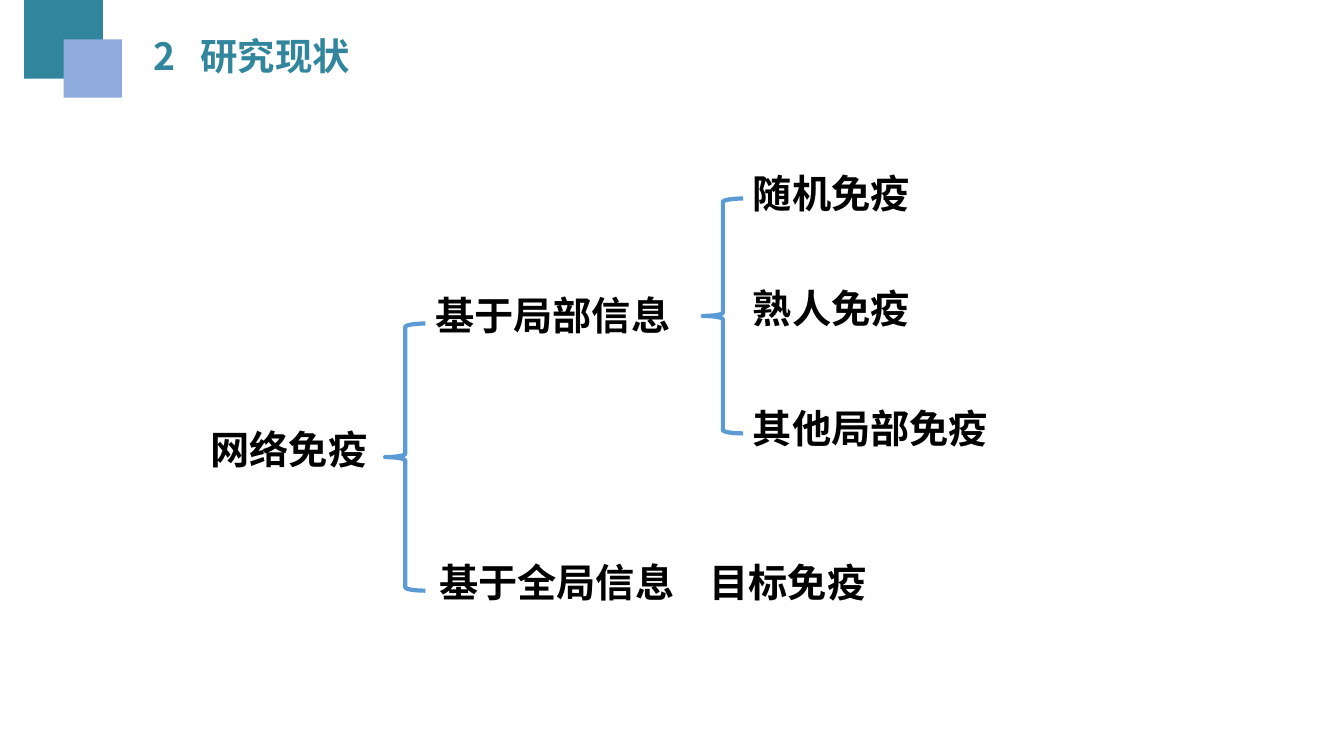
from dataclasses import dataclass

from lxml.etree import SubElement
from pptx import Presentation
from pptx.dml.color import RGBColor
from pptx.enum.shapes import MSO_SHAPE
from pptx.enum.text import MSO_ANCHOR
from pptx.oxml.ns import qn
from pptx.util import Inches, Pt


@dataclass(frozen=True)
class Theme:
    font: str = "Noto Sans CJK SC"
    teal: str = "31859C"
    lavender: str = "8FAADC"
    brace: str = "5B9BD5"
    ink: str = "000000"
    title_size: float = 26.7
    label_size: float = 28
    brace_width: float = 3


class SlideBuilder:
    def __init__(self, slide, theme):
        self.slide = slide
        self.theme = theme

    def text(self, left, top, width, height, words, size, color, tab=None):
        box = self.slide.shapes.add_textbox(
            Inches(left), Inches(top), Inches(width), Inches(height))
        frame = box.text_frame
        frame.word_wrap = True
        frame.vertical_anchor = MSO_ANCHOR.TOP
        para = frame.paragraphs[0]
        if tab:
            stops = SubElement(para._p.get_or_add_pPr(), qn("a:tabLst"))
            SubElement(stops, qn("a:tab"), pos=str(Inches(tab)), algn="l")
        span = para.add_run()
        span.text = words
        span.font.size = Pt(size)
        span.font.bold = True
        span.font.color.rgb = RGBColor.from_string(color)
        span.font.name = self.theme.font
        SubElement(span.font._element, qn("a:ea"), typeface=self.theme.font)
        return para

    def title(self, left, top, width, height, words, tab):
        self.text(left, top, width, height, words,
                  self.theme.title_size, self.theme.teal, tab)

    def label(self, left, top, width, words, tab=None):
        para = self.text(left, top, width, 0.63, words,
                         self.theme.label_size, self.theme.ink, tab)
        para.line_spacing = 0.9
        para.space_before = Pt(10)

    def square(self, left, top, side, color):
        shape = self.slide.shapes.add_shape(
            MSO_SHAPE.RECTANGLE, Inches(left), Inches(top), Inches(side), Inches(side))
        shape.shadow.inherit = False
        shape.fill.solid()
        shape.fill.fore_color.rgb = RGBColor.from_string(color)
        shape.line.fill.background()

    def brace(self, left, top, height):
        shape = self.slide.shapes.add_shape(
            MSO_SHAPE.LEFT_BRACE, Inches(left), Inches(top), Inches(0.4), Inches(height))
        shape.shadow.inherit = False
        shape.fill.background()
        shape.line.color.rgb = RGBColor.from_string(self.theme.brace)
        shape.line.width = Pt(self.theme.brace_width)


def main():
    deck = Presentation()
    deck.slide_width = Inches(13.33)
    deck.slide_height = Inches(7.5)
    theme = Theme()
    page = SlideBuilder(deck.slides.add_slide(deck.slide_layouts[6]), theme)

    page.title(1.42, 0.28, 3.15, 0.55, "2\t研究现状", tab=0.47)
    page.square(0.24, 0, 0.78, theme.teal)
    page.square(0.63, 0.39, 0.58, theme.lavender)

    page.label(1.99, 4.22, 2.06, "网络免疫")
    page.brace(3.82, 3.21, 2.65)
    page.label(4.22, 2.89, 2.76, "基于局部信息")
    page.brace(6.97, 1.97, 2.33)
    for top, method in ((1.68, "随机免疫"), (2.82, "熟人免疫"), (4.01, "其他局部免疫")):
        page.label(7.37, top, 4.13, method)
    page.label(4.26, 5.54, 7.24, "基于全局信息\t目标免疫", tab=2.68)

    deck.save("out.pptx")


if __name__ == "__main__":
    main()
